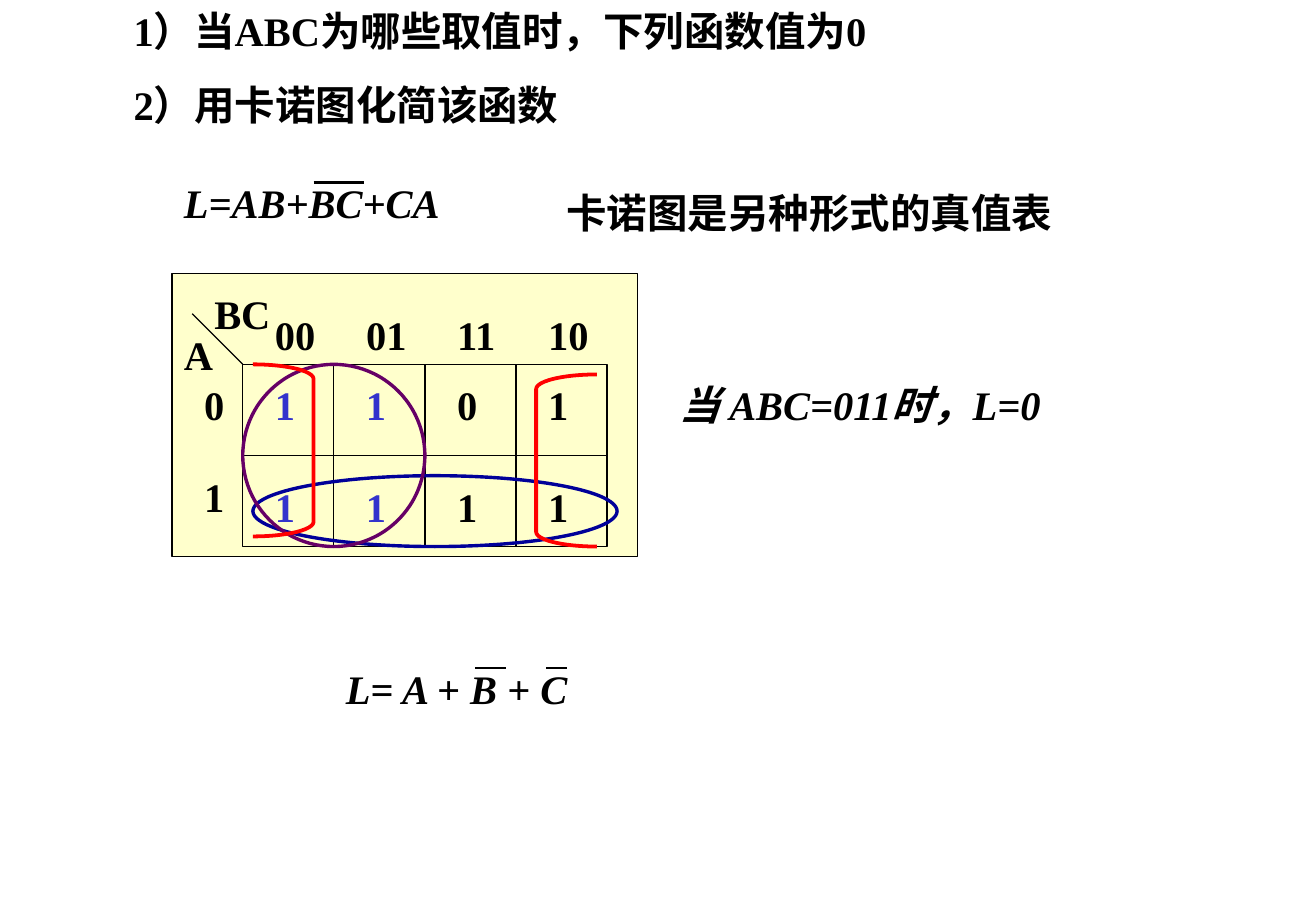
from pptx import Presentation
from pptx import util as u
from pptx.dml.color import RGBColor
from pptx.enum import shapes, text
from lxml import etree

COLOURS = {
    "ink": "000000", "panel": "FFFFCC", "not_b": "3333CC",
    "loop_a": "000099", "loop_not_b": "660066", "loop_not_c": "FF0000",
}
FONT = "Times New Roman"
UNIT = u.Inches(1) / 12
LABEL_HEIGHT = 6
CELL = 9


def grid(*counts):
    return [u.Emu(round(count * UNIT)) for count in counts]


def colour(name):
    return RGBColor.from_string(COLOURS[name])


def style_text(frame, lines, ink="ink", italic=False, align=text.PP_ALIGN.LEFT):
    frame.word_wrap = True
    frame.auto_size = text.MSO_AUTO_SIZE.NONE
    frame.vertical_anchor = text.MSO_ANCHOR.TOP
    frame.text = "\n".join(lines)
    for index, paragraph in enumerate(frame.paragraphs):
        paragraph.alignment = align
        paragraph.space_before = u.Pt(15 if index else 0)
        font = paragraph.font
        font.name, font.size = FONT, u.Pt(24)
        font.bold, font.italic = True, italic
        font.color.rgb = colour(ink)


def add_label(slide, box, words, **style):
    label = slide.shapes.add_textbox(*grid(*box))
    style_text(label.text_frame, [words], **style)


def add_line(slide, start, end, weight=0.75):
    line = slide.shapes.add_connector(
        shapes.MSO_CONNECTOR.STRAIGHT, *grid(*start, *end))
    line.line.color.rgb = colour("ink")
    line.line.width = u.Pt(weight)
    properties = line._element.spPr
    etree.SubElement(
        properties, "{http://schemas.openxmlformats.org/drawingml/2006/main}effectLst")
    return line


def add_outline(slide, kind, box, ink="ink", weight=0.75, fill=None):
    outline = slide.shapes.add_shape(kind, *grid(*box))
    outline.shadow.inherit = False
    if fill:
        outline.fill.solid()
        outline.fill.fore_color.rgb = colour(fill)
    else:
        outline.fill.background()
    outline.line.color.rgb = colour(ink)
    outline.line.width = u.Pt(weight)
    return outline


def add_question(slide, box):
    question = slide.shapes.title
    question.left, question.top, question.width, question.height = grid(*box)
    style_text(question.text_frame,
               ["1）当ABC为哪些取值时，下列函数值为0", "2）用卡诺图化简该函数"])


def add_formula(slide, box, words, bars, weight):
    left, top, _, _ = box
    add_label(slide, box, words, italic=True)
    for start, end in bars:
        add_line(slide, (left + start, top + 1), (left + end, top + 1), weight)


def add_cells(slide, left, top):
    kind = shapes.MSO_SHAPE.RECTANGLE
    frame = add_outline(slide, kind, (left, top, 4 * CELL, 2 * CELL))
    for column in (1, 2, 3):
        x = left + column * CELL
        divider = add_line(slide, (x, top), (x, top + 2 * CELL))
        if column == 2:
            divider.begin_connect(frame, 0)
            divider.end_connect(frame, 2)
    row_divider = add_line(slide, (left, top + CELL), (left + 4 * CELL, top + CELL))
    row_divider.begin_connect(frame, 1)
    row_divider.end_connect(frame, 3)

    for column, heading in enumerate(("00", "01", "11", "10")):
        add_label(slide, (left + 2 + column * CELL, top - 6, 8, LABEL_HEIGHT), heading)
    for row, (heading, values) in enumerate((("0", "1101"), ("1", "1111"))):
        add_label(slide, (left - 5, top + 1 + row * CELL, 6, LABEL_HEIGHT), heading)
        for column, value in enumerate(values):
            add_label(slide,
                      (left + 2 + column * CELL, top + 1 + row * 10, 7, LABEL_HEIGHT),
                      value, ink="not_b" if column < 2 else "ink")


def add_loops(slide, left, top):
    kinds = shapes.MSO_SHAPE
    add_outline(slide, kinds.OVAL, (left + 1, top + 11, 36, 7), "loop_a", 2)
    add_outline(slide, kinds.OVAL, (left, top, 18, 18), "loop_not_b", 2)
    for kind, x, y in ((kinds.RIGHT_BRACKET, 1, 0), (kinds.LEFT_BRACKET, 29, 1)):
        bracket = add_outline(
            slide, kind, (left + x, top + y, 6, 17), "loop_not_c", 2.25)
        bracket.adjustments[0] = 0.24


def add_karnaugh_map(slide, box):
    left, top, _, _ = box
    corner = left + 7, top + 9
    add_outline(slide, shapes.MSO_SHAPE.RECTANGLE, box, fill="panel")
    add_line(slide, corner, (left + 2, top + 4))
    add_label(slide, (left, top + 5, 10, LABEL_HEIGHT), "A")
    add_label(slide, (left + 3, top + 1, 16, LABEL_HEIGHT), "BC")
    add_cells(slide, *corner)
    add_loops(slide, *corner)


def main():
    deck = Presentation()
    deck.slide_width, deck.slide_height = u.Inches(10.84), u.Inches(7.5)
    slide = deck.slides.add_slide(deck.slide_layouts[5])
    add_question(slide, (12, 0, 78, 18))
    add_formula(slide, (17, 17, 34, LABEL_HEIGHT), "L=AB+BC+CA", [(14, 19)], 2)
    add_label(slide, (50, 18, 60, LABEL_HEIGHT), "卡诺图是另种形式的真值表",
              align=text.PP_ALIGN.CENTER)
    add_karnaugh_map(slide, (17, 27, 46, 28))
    add_label(slide, (66, 37, 48, LABEL_HEIGHT), "当 ABC=011时，L=0", italic=True)
    add_formula(slide, (33, 65, 29, LABEL_HEIGHT), "L= A + B + C",
                [(14, 17), (21, 23)], 0.75)
    deck.save("out.pptx")


if __name__ == "__main__":
    main()
